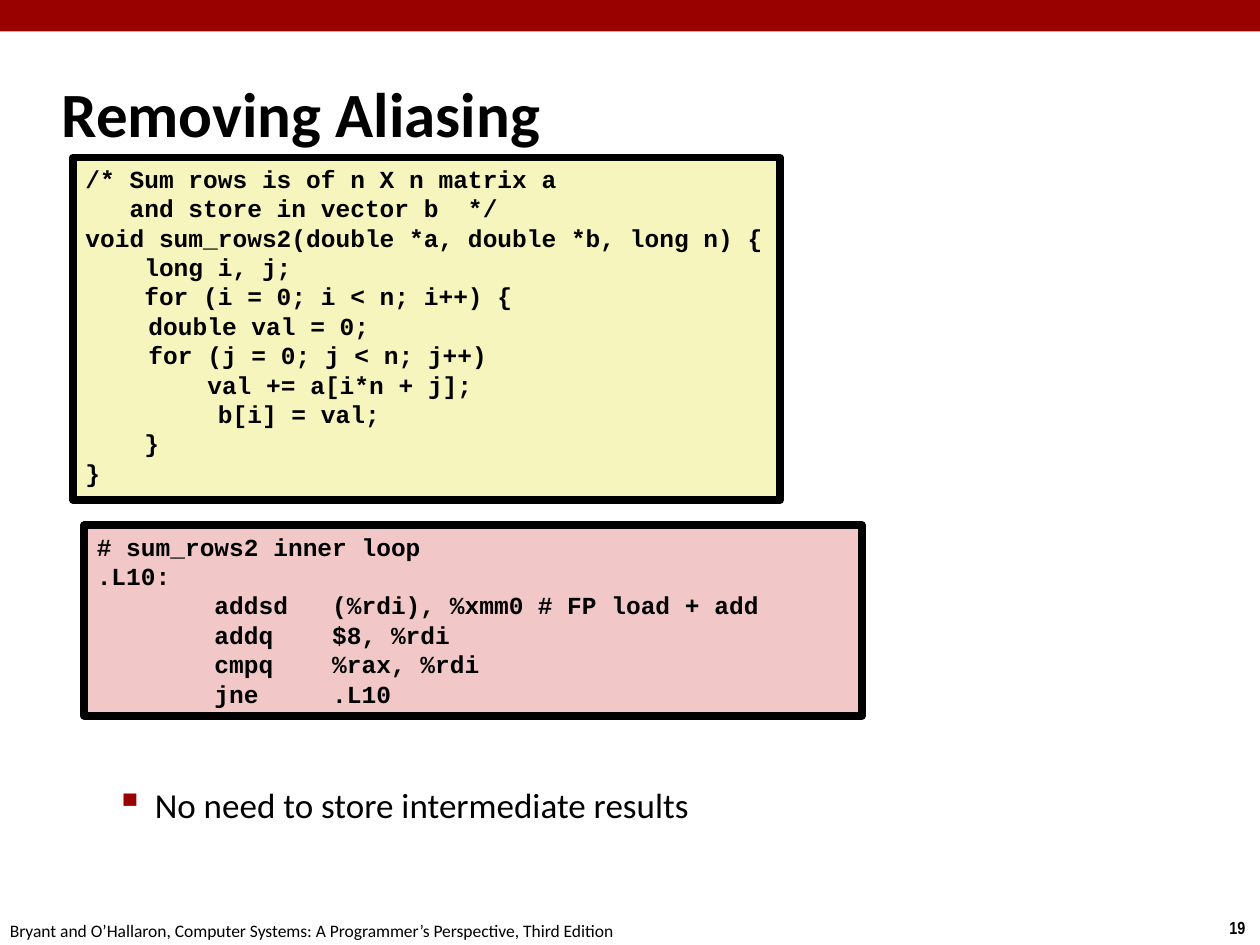
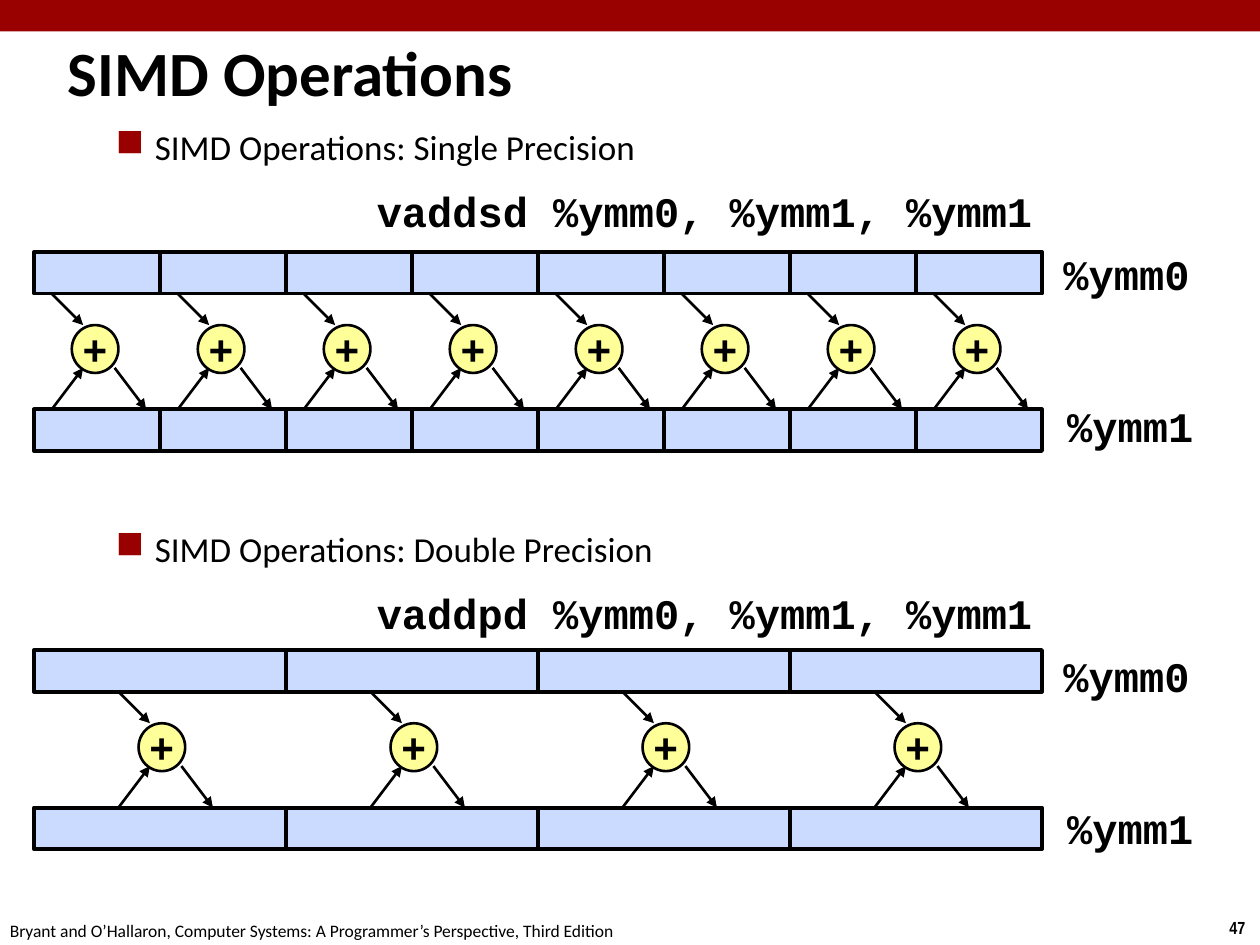
from dataclasses import dataclass

from lxml import etree
from pptx import Presentation
from pptx.dml.color import RGBColor
from pptx.enum.shapes import MSO_CONNECTOR, MSO_SHAPE
from pptx.enum.text import MSO_ANCHOR as Anchor, PP_ALIGN as Align
from pptx.oxml.ns import qn
from pptx.util import Inches, Pt


# Theme
@dataclass(frozen=True)
class TextStyle:
    font: str
    size: float
    bold: bool = False


@dataclass(frozen=True)
class Theme:
    black: str = "000000"
    band: str = "990000"
    source_code: str = "F6F5BD"
    assembly: str = "F1C7C7"
    register: str = "CBDBFF"
    adder: str = "FFFF99"
    title: TextStyle = TextStyle("Calibri", 36, True)
    body: TextStyle = TextStyle("Calibri", 20)
    footer: TextStyle = TextStyle("Calibri", 10)
    page: TextStyle = TextStyle("Arial Narrow", 10, True)
    code: TextStyle = TextStyle("Courier New", 14, True)
    operation: TextStyle = TextStyle("Courier New", 24, True)


THEME = Theme()
FOOTER = "Bryant and O’Hallaron, Computer Systems: A Programmer’s Perspective, Third Edition"


@dataclass(frozen=True)
class Box:
    left: float
    top: float
    width: float
    height: float

    def lengths(self) -> list:
        return [Inches(value) for value in (self.left, self.top, self.width, self.height)]


@dataclass(frozen=True)
class CodePanel:
    box: Box
    fill: str
    code: str


@dataclass(frozen=True)
class VectorAdd:
    heading: str
    command: str
    text_top: float
    register_top: float
    lanes: int
    arrow_start: float  # distance from the left of a lane to its first arrow


# Slide content
SUM_ROWS = """/* Sum rows is of n X n matrix a
   and store in vector b  */
void sum_rows2(double *a, double *b, long n) {
    long i, j;
    for (i = 0; i < n; i++) {
\tdouble val = 0;
\tfor (j = 0; j < n; j++)
\t    val += a[i*n + j];
         b[i] = val;
    }
}"""

INNER_LOOP = """# sum_rows2 inner loop
.L10:
        addsd   (%rdi), %xmm0\t# FP load + add
        addq    $8, %rdi
        cmpq    %rax, %rdi
        jne     .L10"""

CODE_PANELS = (
    CodePanel(Box(0.67, 4.17, 6.17, 1.51), THEME.assembly, INNER_LOOP),
    CodePanel(Box(0.58, 1.25, 5.61, 2.72), THEME.source_code, SUM_ROWS),
)

VECTOR_ADDS = (
    VectorAdd("SIMD Operations: Single Precision", "vaddsd %ymm0, %ymm1, %ymm1",
              0.95, 2, 8, 0.14),
    VectorAdd("SIMD Operations: Double Precision", "vaddpd %ymm0, %ymm1, %ymm1",
              4.14, 5.16, 4, 0.67),
)

REGISTER_LEFT, REGISTER_WIDTH, REGISTER_HEIGHT = 0.27, 8, 0.33
REGISTER_STEP = 1.25


# Drawing helpers
def write_text(shape, text: str, style: TextStyle, *, wrap: bool = False,
               anchor=Anchor.TOP, align=Align.LEFT, inset: float = 0.1) -> None:
    frame = shape.text_frame
    frame_format = {
        "word_wrap": wrap, "vertical_anchor": anchor,
        "margin_left": Inches(inset), "margin_right": Inches(inset),
        "margin_top": Inches(0.05), "margin_bottom": Inches(0.05),
    }
    for name, value in frame_format.items():
        setattr(frame, name, value)
    font_format = {"name": style.font, "size": Pt(style.size), "bold": style.bold}
    for index, line in enumerate(text.split("\n")):
        paragraph = frame.add_paragraph() if index else frame.paragraphs[0]
        paragraph.alignment = align
        run = paragraph.add_run()
        run.text = line
        for name, value in font_format.items():
            setattr(run.font, name, value)
        run.font.color.rgb = RGBColor.from_string(THEME.black)


def add_text(slide, box: Box, text: str, style: TextStyle, **options):
    shape = slide.shapes.add_textbox(*box.lengths())
    write_text(shape, text, style, **options)
    return shape


def add_block(slide, box: Box, fill: str, line_width: float = 0, kind=MSO_SHAPE.RECTANGLE):
    shape = slide.shapes.add_shape(kind, *box.lengths())
    shape.shadow.inherit = False
    shape.fill.solid()
    shape.fill.fore_color.rgb = RGBColor.from_string(fill)
    if line_width:
        shape.line.color.rgb = RGBColor.from_string(THEME.black)
        shape.line.width = Pt(line_width)
    else:
        shape.line.fill.background()
    return shape


def add_arrow(slide, *ends: float) -> None:
    arrow = slide.shapes.add_connector(MSO_CONNECTOR.STRAIGHT, *map(Inches, ends))
    arrow.line.color.rgb = RGBColor.from_string(THEME.black)
    arrow.line.width = Pt(1.5)
    etree.SubElement(arrow.line._get_or_add_ln(), qn("a:tailEnd"), type="triangle")
    etree.SubElement(arrow._element.spPr, qn("a:effectLst"))


def add_bullet(slide, top: float, text: str, symbol: str) -> None:
    shape = add_text(slide, Box(0.32, top, 9.09, 0.45), text, THEME.body, wrap=True)
    properties = shape.text_frame.paragraphs[0]._p.get_or_add_pPr()
    properties.set("marL", str(Inches(0.81)))
    properties.set("indent", str(Inches(-0.31)))
    color = etree.SubElement(properties, qn("a:buClr"))
    etree.SubElement(color, qn("a:srgbClr"), val=THEME.band)
    etree.SubElement(properties, qn("a:buSzPct"), val="110000")
    etree.SubElement(properties, qn("a:buChar"), char=symbol)


def add_base_slide(presentation, title: str, title_box: Box, number: int):
    """Add a slide with the band, footer, page number and title."""
    slide = presentation.slides.add_slide(presentation.slide_layouts[6])
    add_block(slide, Box(0, 0, 10, 0.25), THEME.band)
    add_text(slide, Box(9.66, 7.23, 0.34, 0.27), str(number), THEME.page)
    add_text(slide, Box(-0.02, 7.25, 5.08, 0.27), FOOTER, THEME.footer)
    add_text(slide, title_box, title, THEME.title, wrap=True, anchor=Anchor.MIDDLE)
    return slide


def add_lane(slide, left: float, register_top: float) -> None:
    """Add one adder with two arrows in and one arrow out."""
    upper = register_top + REGISTER_HEIGHT
    lower = register_top + REGISTER_STEP
    adder_top = upper + 0.25
    adder = add_block(slide, Box(left + 0.16, adder_top, 0.37, 0.38), THEME.adder, 1.5,
                      MSO_SHAPE.OVAL)
    write_text(adder, "+", THEME.operation, anchor=Anchor.MIDDLE, align=Align.CENTER,
               inset=0.05)
    add_arrow(slide, left, upper, left + 0.25, adder_top)
    add_arrow(slide, left, lower, left + 0.25, lower - 0.33)
    add_arrow(slide, left + 0.5, lower - 0.33, left + 0.75, lower)


def add_vector_add(slide, item: VectorAdd) -> None:
    add_bullet(slide, item.text_top, item.heading, "■")
    labels = (
        (item.command, Box(2.94, item.text_top + 0.47, 5.35, 0.5)),
        ("%ymm0", Box(8.39, item.text_top + 0.97, 1.11, 0.5)),
        ("%ymm1", Box(8.42, item.text_top + 2.18, 1.11, 0.5)),
    )
    for text, box in labels:
        add_text(slide, box, text, THEME.operation, inset=0.05)
    lane_width = REGISTER_WIDTH / item.lanes
    lane_lefts = [REGISTER_LEFT + lane * lane_width for lane in range(item.lanes)]
    for top in (item.register_top, item.register_top + REGISTER_STEP):
        for left in lane_lefts:
            add_block(slide, Box(left, top, lane_width, REGISTER_HEIGHT), THEME.register, 2.25)
    for left in lane_lefts:
        add_lane(slide, left + item.arrow_start, item.register_top)


# Slides
def build_aliasing(presentation) -> None:
    slide = add_base_slide(presentation, "Removing Aliasing", Box(0.39, 0.48, 8.3, 0.83), 19)
    add_bullet(slide, 6.17, "No need to store intermediate results", "▪")
    for panel in CODE_PANELS:
        shape = add_block(slide, panel.box, panel.fill, 4.5)
        write_text(shape, panel.code, THEME.code, wrap=True)


def build_simd(presentation) -> None:
    slide = add_base_slide(presentation, "SIMD Operations", Box(0.44, 0.14, 9.53, 0.85), 47)
    for item in VECTOR_ADDS:
        add_vector_add(slide, item)


def main() -> None:
    presentation = Presentation()
    presentation.slide_width, presentation.slide_height = Inches(10), Inches(7.5)
    build_aliasing(presentation)
    build_simd(presentation)
    presentation.save("out.pptx")


if __name__ == "__main__":
    main()
